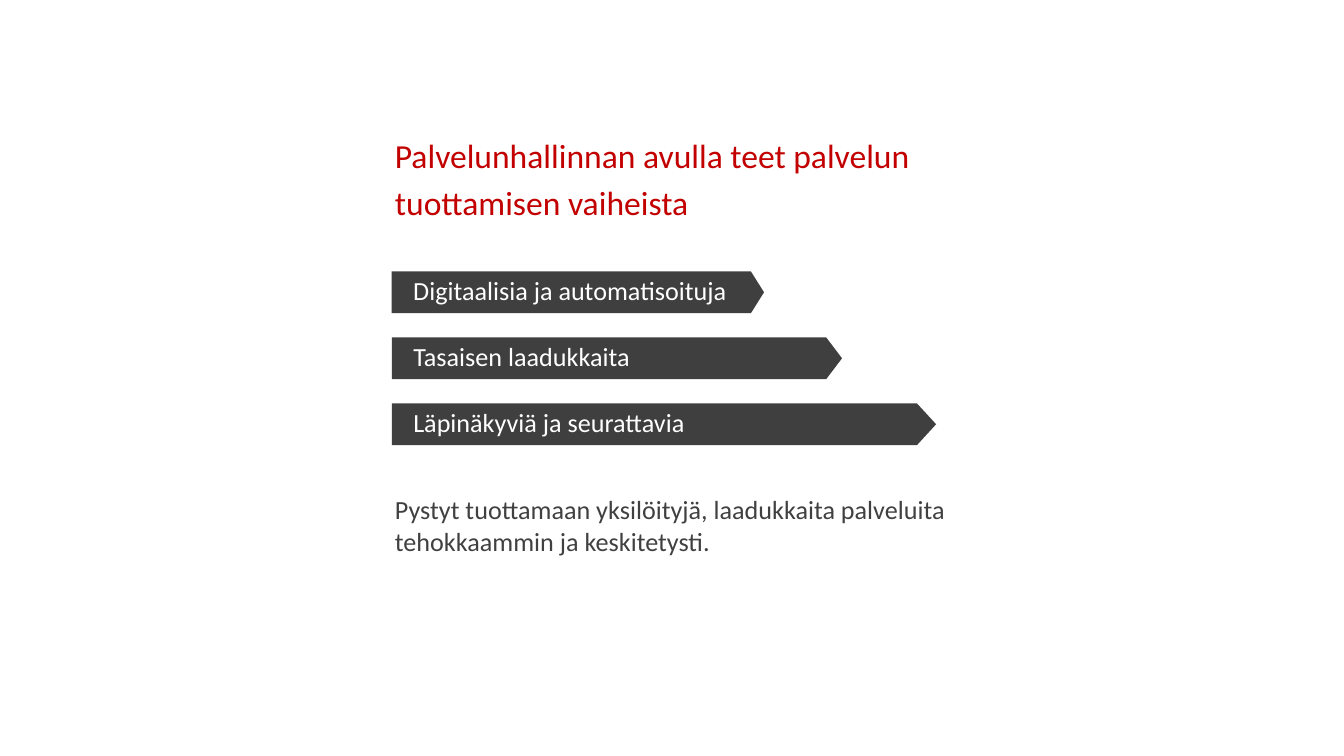
from pptx import Presentation, util as u
from pptx.dml.color import RGBColor
from pptx.enum import text

RED = RGBColor(0xC3, 0x00, 0x00)
CHARCOAL = RGBColor(0x3F, 0x3F, 0x3F)
GREY = RGBColor(0x40, 0x40, 0x40)
WHITE = RGBColor(0xFF, 0xFF, 0xFF)

# Widescreen slide on a square grid, 100 columns wide
deck = Presentation()
deck.slide_width = u.Inches(10)
deck.slide_height = deck.slide_width * 9 // 16
slide = deck.slides.add_slide(deck.slide_layouts[6])


def grid(*cells):
    return [round(cell * deck.slide_width / 100) for cell in cells]


def write(frame, lines, size, color):
    frame.word_wrap = True
    frame.text = "\n".join(lines)
    for number, paragraph in enumerate(frame.paragraphs):
        paragraph.alignment = text.PP_ALIGN.LEFT
        paragraph.font.name = "Calibri"
        paragraph.font.size = u.Pt(size)
        paragraph.font.color.rgb = color
        if number:
            paragraph.space_before = u.Pt(0.2 * size)


# Heading above the arrows, conclusion below them
statements = [
    (["Palvelunhallinnan avulla teet palvelun", "tuottamisen vaiheista"],
     9.55, 7.2, 18, RED),
    (["Pystyt tuottamaan yksilöityjä, laadukkaita palveluita "
      "tehokkaammin ja keskitetysti."],
     36.25, 6.8, 14, GREY),
]
for lines, top, height, size, color in statements:
    statement = slide.shapes.add_textbox(*grid(28.4, top, 47.7, height))
    write(statement.text_frame, lines, size, color)

# Benefit arrows: one row each, growing longer downwards
LEFT, TOP, PITCH, HEIGHT = 29.15, 20.2, 4.91, 3.1
TIP_SHARE = 0.035  # tip length as a share of the arrow's length
benefits = [
    ("Digitaalisia ja automatisoituja", 27.7),
    ("Tasaisen laadukkaita", 33.5),
    ("Läpinäkyviä ja seurattavia", 40.5),
]
for row, (benefit, length) in enumerate(benefits):
    top = TOP + row * PITCH
    tip = LEFT + length
    shoulder = tip - length * TIP_SHARE
    outline = slide.shapes.build_freeform(*grid(LEFT, top))
    outline.add_line_segments([
        grid(shoulder, top),
        grid(tip, top + HEIGHT / 2),
        grid(shoulder, top + HEIGHT),
        grid(LEFT, top + HEIGHT),
    ])
    arrow = outline.convert_to_shape()
    arrow.shadow.inherit = False
    arrow.fill.solid()
    arrow.fill.fore_color.rgb = CHARCOAL
    arrow.line.fill.background()

    label = arrow.text_frame
    label.vertical_anchor = text.MSO_ANCHOR.MIDDLE
    label.margin_left, label.margin_top = grid(1.6, 0.5)
    label.margin_right, label.margin_bottom = grid(1, 0.8)
    write(label, [benefit], 14, WHITE)

deck.save("out.pptx")
